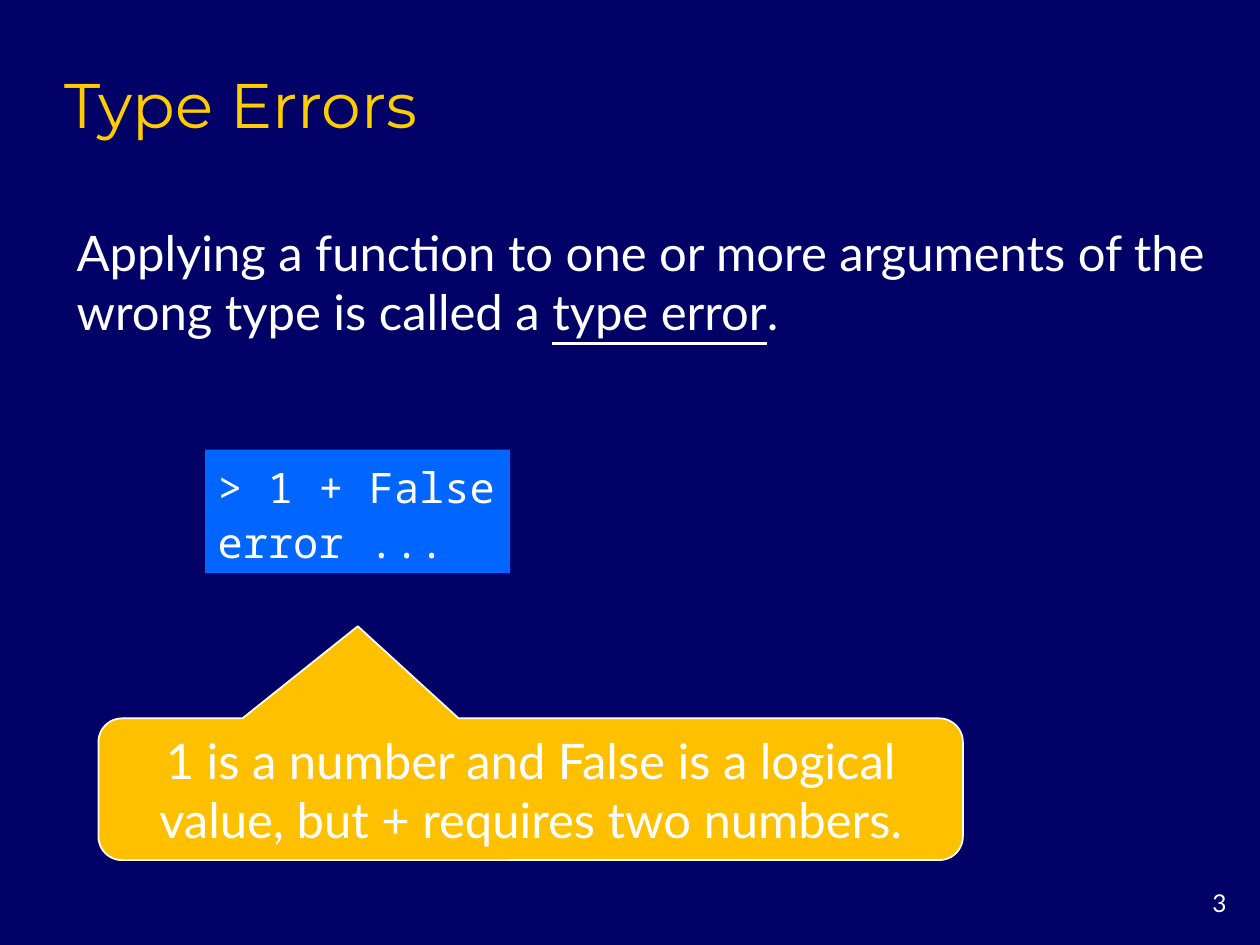
from pptx import Presentation
from pptx.dml.color import RGBColor
from pptx.enum.shapes import MSO_SHAPE as Shape
from pptx.enum.text import MSO_ANCHOR as Anchor, PP_ALIGN as Align
from pptx.util import Pt

NAVY, BLUE, AMBER, GOLD, WHITE = "000066", "0066FF", "FFC000", "FFCC00", "FFFFFF"
BODY, HEADING, CODE = "Lato", "Montserrat", "Noto Sans Mono"


def paint(fill, color):
    """Give a fill one solid hex colour."""
    fill.solid()
    fill.fore_color.rgb = RGBColor.from_string(color)


def write(shape, lines, size, font=BODY, color=WHITE, align=Align.LEFT,
          anchor=Anchor.MIDDLE, spacing=None, wrap=True):
    """Write lines of (text, underlined) runs into a shape."""
    frame = shape.text_frame
    frame.word_wrap = wrap
    frame.vertical_anchor = anchor
    for index, runs in enumerate(lines):
        line = frame.paragraphs[0] if index == 0 else frame.add_paragraph()
        line.alignment = align
        line.line_spacing = spacing
        line.font.size = Pt(size)
        line.font.name = font
        line.font.color.rgb = RGBColor.from_string(color)
        for text, underlined in runs:
            run = line.add_run()
            run.text = text
            if underlined:
                run.font.underline = True


def add_text(slide, box, lines, size, **style):
    """Add a text box at (left, top, width, height) in points."""
    write(slide.shapes.add_textbox(*map(Pt, box)), lines, size, **style)


def add_panel(slide, preset, box, fill, lines, size, outline=None, **style):
    """Add a filled preset shape with text and return it."""
    panel = slide.shapes.add_shape(preset, *map(Pt, box))
    panel.shadow.inherit = False
    paint(panel.fill, fill)
    if outline:
        paint(panel.line.fill, outline)
        panel.line.width = Pt(1)
    else:
        panel.line.fill.background()
    write(panel, lines, size, **style)
    return panel


def main():
    """Build the slide on type errors."""
    deck = Presentation()
    deck.slide_width, deck.slide_height = Pt(720), Pt(540)
    slide = deck.slides.add_slide(deck.slide_layouts[6])
    paint(slide.background.fill, NAVY)

    add_text(slide, (660, 504, 48, 24), [[("3", False)]], 14,
             align=Align.RIGHT, anchor=Anchor.TOP)
    add_text(slide, (30, 30, 612, 54), [[("Type Errors", False)]], 36,
             font=HEADING, color=GOLD, anchor=Anchor.BOTTOM)
    definition = [
        ("Applying a function to one or more arguments of the wrong type is called a ", False),
        ("type error", True),
        (".", False),
    ]
    add_text(slide, (36.75, 124, 659.5, 74), [definition], 28)

    session = [[("> 1 + False", False)], [("error ...", False)]]
    add_panel(slide, Shape.RECTANGLE, (117.25, 257, 174.25, 70.5), BLUE, session, 24,
              font=CODE, spacing=1.1, wrap=False)

    reason = "1 is a number and False is a logical value, but + requires two numbers."
    callout = add_panel(slide, Shape.ROUNDED_RECTANGULAR_CALLOUT, (56.25, 410.5, 494, 81),
                        AMBER, [[(reason, False)]], 28, outline=WHITE, align=Align.CENTER)
    callout.adjustments[0] = -0.2
    callout.adjustments[1] = -1.15
    deck.save("out.pptx")


if __name__ == "__main__":
    main()
